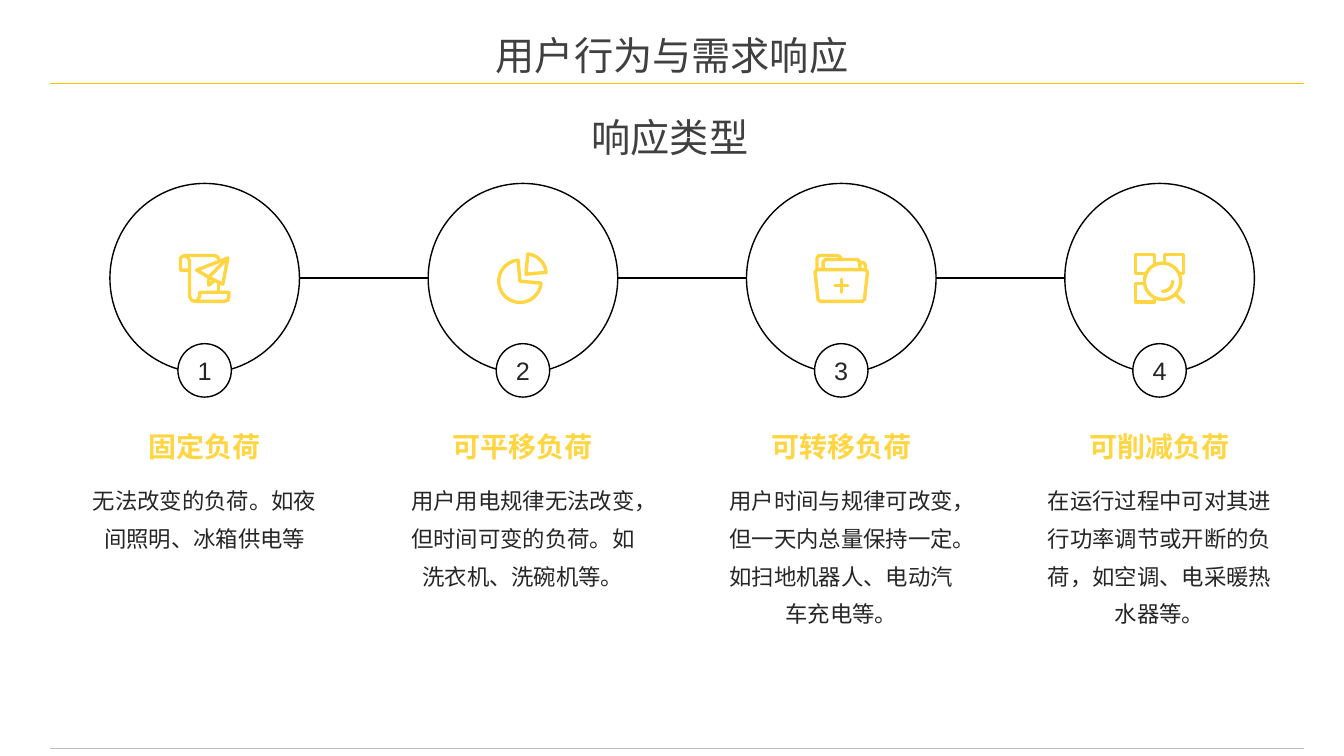
import math

import pptx
import pptx.dml.color
import pptx.enum.lang
import pptx.enum.shapes
import pptx.enum.text
import pptx.oxml.ns
import pptx.util
from lxml import etree

IN = pptx.util.Inches
SHAPE = pptx.enum.shapes.MSO_SHAPE
ALIGN = pptx.enum.text.PP_ALIGN
ANCHOR = pptx.enum.text.MSO_ANCHOR
CJK = "Noto Sans CJK SC"
GOLD, YELLOW, GREY = "FFC000", "FFD641", "BFBFBF"
BLACK, HEADING, BODY = "000000", "404040", "262626"

WIDTH, HEIGHT = 13.33, 7.5
MARGIN = 0.5
FIRST_CENTRE, PITCH = 2.03, 3.157
RING_TOP, RING = 1.82, 1.88
BADGE_TOP, BADGE = 3.41, 0.53
COLUMN = 2.33
ICON = 0.5  # side of an icon, drawn on a grid of 50 by 50


def arc(cx, cy, radius, start, end):
    """Points along a circle, angles in degrees clockwise from the right."""
    steps = 36
    angles = [math.radians(start + (end - start) * i / steps) for i in range(steps + 1)]
    return [(cx + radius * math.cos(a), cy + radius * math.sin(a)) for a in angles]


def closed(points):
    return points + points[:1]


SCROLL = [
    [(10, 17), (1, 17), (1, 6), (2, 4), (5, 2.5), (8, 4), (10, 8), (10, 43),
     (12, 47), (15, 48), (18, 47), (20, 43), (20, 39), (49, 39), (49, 43),
     (48, 47), (44, 48), (15, 48)],
    [(5, 2.5), (35, 2.5), (38, 4), (39, 7)],
    [(39, 30), (39, 39)],
    closed([(17, 17), (48, 5), (43, 31), (29, 24)]),
    [(48, 5), (29, 24), (29, 32), (35, 27)],
]
PIE = [
    closed(arc(22, 28, 21, 5, 265) + [(22, 28)]),
    closed(arc(28, 21, 20, -85, -5) + [(28, 21)]),
]
FOLDER = [
    closed([(-1, 19), (1, 16.5), (49, 16.5), (51, 19), (48, 46), (46, 48),
            (4, 48), (2, 46)]),
    [(1, 16), (1, 5), (3, 2.5), (21, 2.5), (24, 4), (25, 6.5)],
    [(7, 16), (7, 9), (9, 6.5), (41, 6.5), (43.5, 9), (43.5, 16)],
    [(44, 9.5), (47, 9.5), (49, 12), (49, 16)],
    [(18.5, 32.5), (31.5, 32.5)],
    [(25, 26), (25, 39)],
]
SEARCH = [
    [(10, 20), (1, 20), (1, 1.5), (20, 1.5), (20, 11)],
    [(30, 9), (30, 1.5), (48.5, 1.5), (48.5, 20), (45, 20)],
    [(9, 30.5), (1, 30.5), (1, 48.5), (20, 48.5), (20, 45)],
    arc(28, 28, 18, 0, 360),
    arc(28, 28, 10, 0, 90),
    [(41, 41), (49, 49)],
]
LOADS = [
    ("固定负荷", "无法改变的负荷。如夜间照明、冰箱供电等", SCROLL),
    ("可平移负荷", "用户用电规律无法改变，但时间可变的负荷。如洗衣机、洗碗机等。", PIE),
    ("可转移负荷", "用户时间与规律可改变，但一天内总量保持一定。如扫地机器人、电动汽车充电等。", FOLDER),
    ("可削减负荷", "在运行过程中可对其进行功率调节或开断的负荷，如空调、电采暖热水器等。", SEARCH),
]


def rgb(value):
    return pptx.dml.color.RGBColor.from_string(value)


def write(sp, text, size, color=BODY, font="Arial", bold=None, align=ALIGN.CENTER,
          anchor=ANCHOR.MIDDLE, inset=0, spacing=None, wrap=True):
    tf = sp.text_frame
    tf.word_wrap = wrap
    tf.vertical_anchor = anchor
    tf.margin_left = tf.margin_right = IN(inset)
    tf.margin_top = tf.margin_bottom = IN(inset / 2)
    p = tf.paragraphs[0]
    p.alignment, p.line_spacing = align, spacing
    r = p.add_run()
    r.text = text
    r.font.name, r.font.size, r.font.bold = font, pptx.util.Pt(size), bold
    r.font.color.rgb = rgb(color)
    r.font.language_id = pptx.enum.lang.MSO_LANGUAGE_ID.SIMPLIFIED_CHINESE


def text_box(s, box, text, size, **style):
    sp = s.shapes.add_textbox(*map(IN, box))
    write(sp, text, size, **style)
    return sp


def outline(sp, color, width):
    """Leave the shape unfilled, with a line if a colour is given."""
    sp.shadow.inherit = False
    sp.fill.background()
    if color:
        sp.line.color.rgb = rgb(color)
        sp.line.width = pptx.util.Pt(width)
    else:
        sp.line.fill.background()


def preset(s, kind, box, color=None, width=1):
    sp = s.shapes.add_shape(kind, *map(IN, box))
    outline(sp, color, width)
    return sp


def rule(s, left, right, y, color, width):
    line = s.shapes.add_connector(pptx.enum.shapes.MSO_CONNECTOR.STRAIGHT,
                                  IN(left), IN(y), IN(right), IN(y))
    line.line.color.rgb = rgb(color)
    line.line.width = pptx.util.Pt(width)
    etree.SubElement(line._element.spPr, pptx.oxml.ns.qn("a:effectLst"))


def icon(s, left, top, strokes):
    unit = IN(ICON) / 50
    paths = [[(round(x * unit), round(y * unit)) for x, y in stroke] for stroke in strokes]
    builder = s.shapes.build_freeform(*paths[0][0])
    for i, path in enumerate(paths):
        if i:
            builder.move_to(*path[0])
        builder.add_line_segments(path[1:], close=path[0] == path[-1])
    sp = builder.convert_to_shape(IN(left), IN(top))
    outline(sp, YELLOW, 2.4)
    ln = sp._element.spPr.get_or_add_ln()
    ln.set("cap", "rnd")
    etree.SubElement(ln, pptx.oxml.ns.qn("a:round"))


def header(s):
    title = preset(s, SHAPE.ROUNDED_RECTANGLE, (4.47, 0.27, 4.39, 0.55))
    title.adjustments[0] = 0.09
    write(title, "用户行为与需求响应", 28, color=HEADING, font=CJK, inset=0.1)
    for y, color in ((0.83, GOLD), (7.42, GREY)):
        rule(s, MARGIN, WIDTH - 0.4, y, color, 0.5)
    subtitle = text_box(s, (5.77, 1.08, 1.99, 0.57), "响应类型", 28, color=HEADING,
                        font=CJK, align=ALIGN.LEFT, anchor=ANCHOR.TOP, inset=0.1)
    subtitle.text_frame.auto_size = pptx.enum.text.MSO_AUTO_SIZE.SHAPE_TO_FIT_TEXT


def load_column(s, centre, number, name, detail, strokes):
    """One ring with its icon and number, and the texts below it."""
    ring = preset(s, SHAPE.ARC, (centre - RING / 2, RING_TOP, RING, RING), BLACK)
    # Raw arc angles are 60000ths of a degree, scaled here by 100000.
    ring.adjustments[0], ring.adjustments[1] = 106.5 * 0.6, 73.5 * 0.6
    icon(s, centre - ICON / 2, RING_TOP + (RING - ICON) / 2, strokes)
    badge = preset(s, SHAPE.OVAL, (centre - BADGE / 2, BADGE_TOP, BADGE, BADGE), BLACK)
    write(badge, str(number), 18, wrap=False)
    left = centre - COLUMN / 2
    text_box(s, (left, 4.2, COLUMN, 0.45), name, 20, color=YELLOW, bold=True)
    text_box(s, (left, 4.73, COLUMN, 2.31), detail, 16, anchor=ANCHOR.TOP, spacing=1.4)


def main():
    prs = pptx.Presentation()
    prs.slide_width, prs.slide_height = IN(WIDTH), IN(HEIGHT)
    s = prs.slides.add_slide(prs.slide_layouts[6])
    header(s)
    for i, load in enumerate(LOADS):
        centre = FIRST_CENTRE + i * PITCH
        if i:
            rule(s, centre - PITCH + RING / 2, centre - RING / 2, RING_TOP + RING / 2, BLACK, 1)
        load_column(s, centre, i + 1, *load)
    prs.save("out.pptx")


if __name__ == "__main__":
    main()
